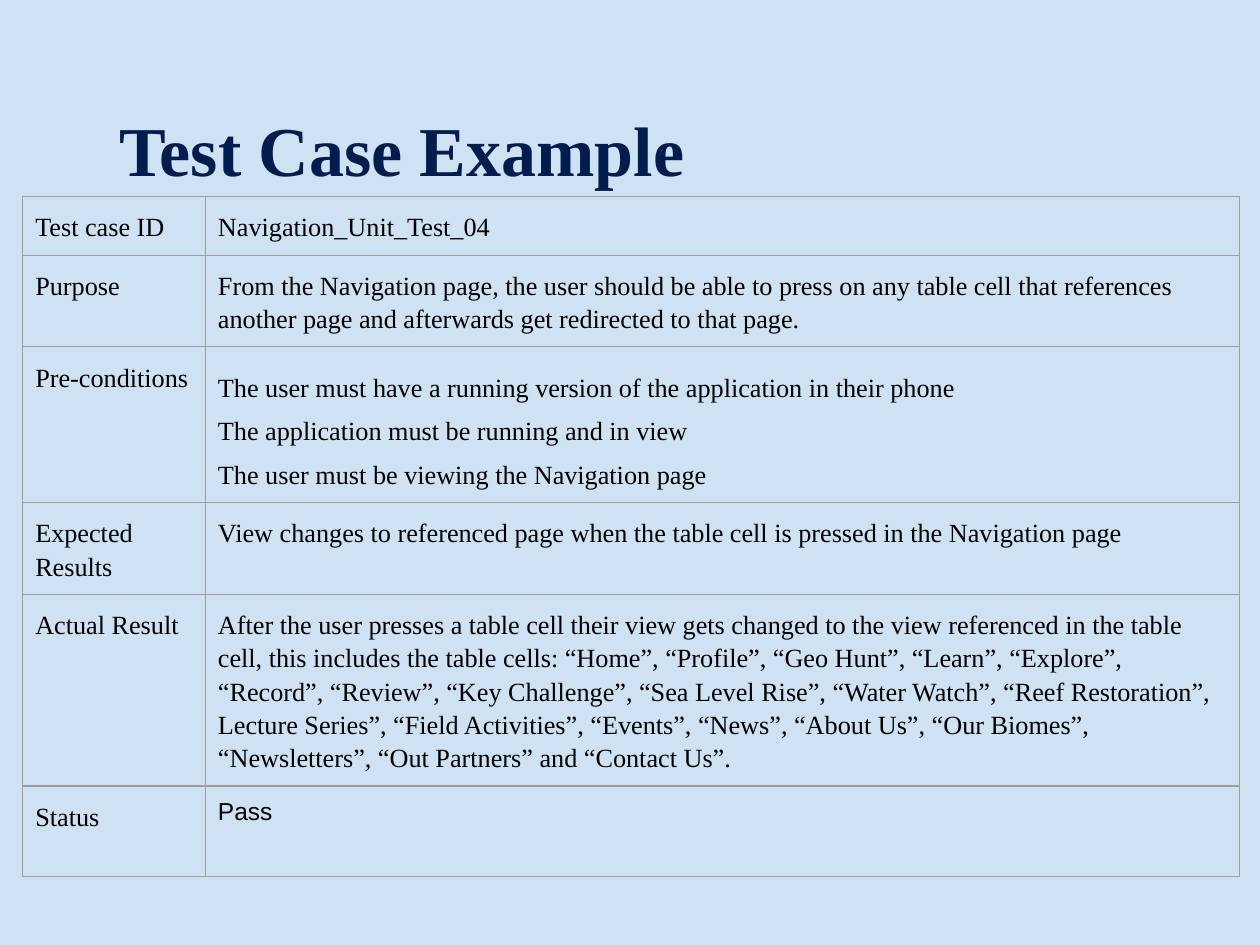
"""Build the test case example slide: a title above a two-column table."""
import pptx
import pptx.dml.color
import pptx.enum.text
import pptx.oxml
import pptx.oxml.ns
import pptx.util

TITLE = "Test Case Example"
SERIF = "Times New Roman"
BACKGROUND, NAVY, BLACK, GRID_LINE = "CFE2F3", "001D4D", "000000", "9E9E9E"
BODY = dict(font=SERIF, size=15, color=BLACK, spacing=1.15)
STEPS = {**BODY, "spacing": 1.5}
VERDICT = dict(font="Arial", size=14, color=BLACK)

TEST_CASE = [
    ("Test case ID", ["Navigation_Unit_Test_04"], BODY),
    ("Purpose", ["From the Navigation page, the user should be able to press on any table cell "
                 "that references another page and afterwards get redirected to that page."], BODY),
    ("Pre-conditions", ["The user must have a running version of the application in their phone",
                        "The application must be running and in view",
                        "The user must be viewing the Navigation page"], STEPS),
    ("Expected Results", ["View changes to referenced page when the table cell is pressed "
                          "in the Navigation page"], BODY),
    ("Actual Result", ["After the user presses a table cell their view gets changed to the view "
                       "referenced in the table cell, this includes the table cells: “Home”, "
                       "“Profile”, “Geo Hunt”, “Learn”, “Explore”, “Record”, “Review”, "
                       "“Key Challenge”, “Sea Level Rise”, “Water Watch”, “Reef Restoration”, "
                       "Lecture Series”, “Field Activities”, “Events”, “News”, “About Us”, "
                       "“Our Biomes”, “Newsletters”, “Out Partners” and “Contact Us”."], BODY),
    ("Status", ["Pass"], VERDICT),
]
COLUMN_WIDTHS = (1.45, 8.21)
ROW_HEIGHT, STATUS_HEIGHT = 0.37, 0.72
ROW_HEIGHTS = [ROW_HEIGHT] * (len(TEST_CASE) - 1) + [STATUS_HEIGHT]
TITLE_BOX = (0.85, 0.42, 8.29, 1.14)
TABLE_LEFT, TABLE_TOP = 0.18, TITLE_BOX[1] + TITLE_BOX[3]
PADDING = 0.1


def rgb(value):
    """Return the colour for a hex string."""
    return pptx.dml.color.RGBColor.from_string(value)


def write(frame, lines, font, size, color, bold=False, spacing=None, align=None):
    """Fill a text frame with one formatted paragraph per line."""
    for index, line in enumerate(lines):
        paragraph = frame.add_paragraph() if index else frame.paragraphs[0]
        paragraph.alignment = align
        if spacing:
            paragraph.line_spacing = spacing
        run = paragraph.add_run()
        run.text = line
        run.font.name = font
        run.font.size = pptx.util.Pt(size)
        run.font.bold = bold
        run.font.color.rgb = rgb(color)


def format_cell(cell):
    """Give a cell its padding, thin borders and no fill."""
    cell.margin_left = cell.margin_right = pptx.util.Inches(PADDING)
    cell.margin_top = cell.margin_bottom = pptx.util.Inches(PADDING)
    properties = cell._tc.get_or_add_tcPr()
    for side in "LRTB":
        properties.append(pptx.oxml.parse_xml(
            f'<a:ln{side} {pptx.oxml.ns.nsdecls("a")} w="{pptx.util.Pt(0.75)}">'
            f'<a:solidFill><a:srgbClr val="{GRID_LINE}"/></a:solidFill></a:ln{side}>'))
    cell.fill.background()


def add_title(slide):
    """Place and format the slide title."""
    title = slide.shapes.title
    title.left, title.top, title.width, title.height = map(pptx.util.Inches, TITLE_BOX)
    frame = title.text_frame
    frame.word_wrap = True
    frame.auto_size = pptx.enum.text.MSO_AUTO_SIZE.NONE
    frame.vertical_anchor = pptx.enum.text.MSO_ANCHOR.BOTTOM
    write(frame, [TITLE], font=SERIF, size=40, color=NAVY, bold=True,
          align=pptx.enum.text.PP_ALIGN.LEFT)


def add_test_case(slide):
    """Add the table with a label and its details on each row."""
    box = (TABLE_LEFT, TABLE_TOP, sum(COLUMN_WIDTHS), sum(ROW_HEIGHTS))
    table = slide.shapes.add_table(
        len(TEST_CASE), len(COLUMN_WIDTHS), *map(pptx.util.Inches, box)).table
    table.first_row = table.horz_banding = False
    for column, width in zip(table.columns, COLUMN_WIDTHS):
        column.width = pptx.util.Inches(width)
    for row, height, (label, details, style) in zip(table.rows, ROW_HEIGHTS, TEST_CASE):
        row.height = pptx.util.Inches(height)
        label_cell, details_cell = row.cells
        write(label_cell.text_frame, [label], **BODY)
        write(details_cell.text_frame, details, **style)
        for cell in (label_cell, details_cell):
            format_cell(cell)


def main():
    """Build and save the presentation."""
    deck = pptx.Presentation()
    deck.slide_width, deck.slide_height = pptx.util.Inches(10), pptx.util.Inches(7.5)
    slide = deck.slides.add_slide(deck.slide_layouts.get_by_name("Title Only"))
    slide.background.fill.solid()
    slide.background.fill.fore_color.rgb = rgb(BACKGROUND)
    add_title(slide)
    add_test_case(slide)
    deck.save("out.pptx")


if __name__ == "__main__":
    main()
